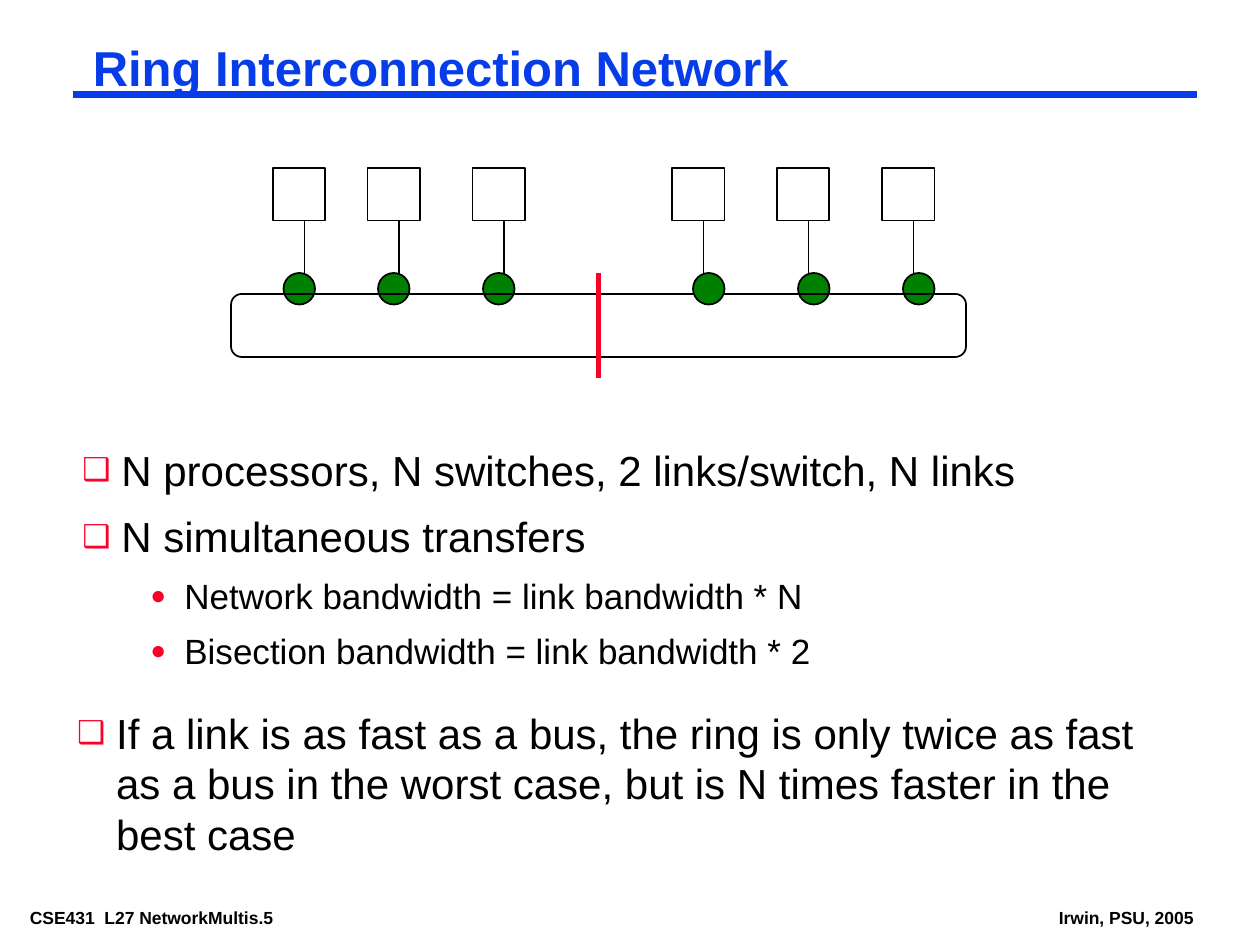
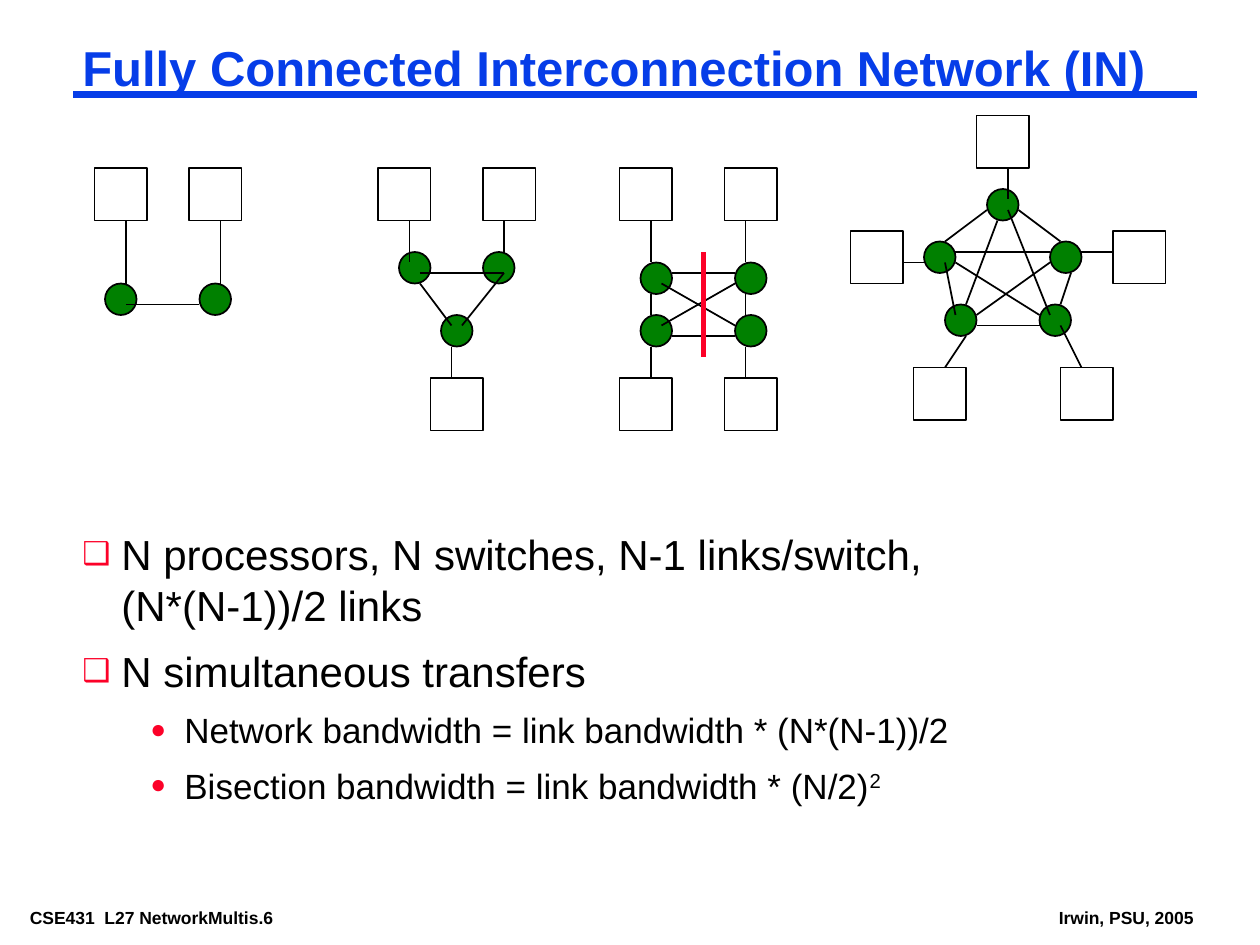
from lxml.etree import SubElement
from pptx import Presentation
from pptx.dml.color import RGBColor
from pptx.enum.shapes import MSO_CONNECTOR as Connector, MSO_SHAPE as Shape
from pptx.enum.text import MSO_ANCHOR as Anchor, MSO_AUTO_SIZE as AutoSize, PP_ALIGN as Align
from pptx.oxml.ns import qn
from pptx.util import Inches, Pt

BLUE = RGBColor(0x06, 0x3D, 0xE8)
RED = RGBColor(0xFC, 0x01, 0x28)
GREEN = RGBColor(0x00, 0x80, 0x00)
BLACK = RGBColor(0x00, 0x00, 0x00)

COLUMNS, ROWS = 120, 90
PROCESSOR_SIZE, SWITCH_SIZE = 5, 3
LIST_LEVELS = [
    {"size": 24, "before": 9, "margin": 0.31, "indent": -0.31, "bullet": "❑"},
    {"size": 20, "before": 7.5, "margin": 0.81, "indent": -0.27, "bullet": "●"},
]


class Deck:
    font = "Arial"

    def __init__(self):
        self.presentation = Presentation()
        self.presentation.slide_width = Inches(10)
        self.presentation.slide_height = Inches(7.5)
        self.column = self.presentation.slide_width / COLUMNS
        self.row = self.presentation.slide_height / ROWS
        self.slide = None
        self.canvas = None

    def place(self, left, top, width, height):
        return (int(left * self.column), int(top * self.row),
                int(width * self.column), int(height * self.row))

    def move(self, shape, box):
        shape.left, shape.top, shape.width, shape.height = self.place(*box)

    def new_slide(self, title, title_box, number):
        self.slide = self.presentation.slides.add_slide(self.presentation.slide_layouts[1])
        self.canvas = self.slide.shapes
        self.line(7, 9, 114, 9, BLUE, 4.5)
        self.footer(f"CSE431  L27 NetworkMultis.{number}", 2, 32)
        self.footer("Irwin, PSU, 2005", 100, 16)
        heading = self.slide.shapes.title
        self.move(heading, title_box)
        self.prepare(heading.text_frame)
        heading.text_frame.text = title
        paragraph = heading.text_frame.paragraphs[0]
        paragraph.line_spacing = 0.87
        self.style(paragraph, 28, BLUE, True)

    def prepare(self, frame):
        frame.word_wrap = True
        frame.auto_size = AutoSize.NONE
        frame.vertical_anchor = Anchor.TOP
        frame.margin_left = frame.margin_right = Inches(0.07)
        frame.margin_top = frame.margin_bottom = Inches(0.03)

    def style(self, paragraph, size, color=BLACK, bold=False):
        paragraph.alignment = Align.LEFT
        for run in paragraph.runs:
            run.font.name = self.font
            run.font.size = Pt(size)
            run.font.bold = bold
            run.font.color.rgb = color

    def text_box(self, box):
        frame = self.slide.shapes.add_textbox(*self.place(*box)).text_frame
        self.prepare(frame)
        return frame

    def footer(self, text, left, width):
        frame = self.text_box((left, 86, width, 2.64))
        frame.text = text
        self.style(frame.paragraphs[0], 10, bold=True)

    def body(self, box, items):
        placeholder = self.slide.placeholders[1]
        self.move(placeholder, box)
        self.prepare(placeholder.text_frame)
        self.bullets(placeholder.text_frame, items)

    def bullets(self, frame, items):
        for index, (level, text, *superscript) in enumerate(items):
            paragraph = frame.add_paragraph() if index else frame.paragraphs[0]
            look = LIST_LEVELS[level]
            paragraph.text = text
            paragraph.level = level
            paragraph.space_before = Pt(look["before"])
            for exponent in superscript:
                run = paragraph.add_run()
                run.text = exponent
                run.font._element.set("baseline", "30000")
            self.style(paragraph, look["size"])
            self.bullet(paragraph, look)

    def bullet(self, paragraph, look):
        properties = paragraph._p.get_or_add_pPr()
        properties.set("marL", str(Inches(look["margin"])))
        properties.set("indent", str(Inches(look["indent"])))
        color = SubElement(properties, qn("a:buClr"))
        SubElement(color, qn("a:srgbClr"), val=str(RED))
        SubElement(properties, qn("a:buSzPct"), val="75000")
        SubElement(properties, qn("a:buFont"), typeface=self.font)
        SubElement(properties, qn("a:buChar"), char=look["bullet"])

    def outline(self, kind, box, fill=None):
        shape = self.canvas.add_shape(kind, *self.place(*box))
        shape.shadow.inherit = False
        if fill is None:
            shape.fill.background()
        else:
            shape.fill.solid()
            shape.fill.fore_color.rgb = fill
        shape.line.color.rgb = BLACK
        shape.line.width = Pt(1)
        return shape

    def line(self, x1, y1, x2, y2, color=BLACK, width=1):
        connector = self.canvas.add_connector(
            Connector.STRAIGHT, *self.place(x1, y1, x2, y2))
        connector.line.color.rgb = color
        connector.line.width = Pt(width)
        SubElement(connector._element.spPr, qn("a:effectLst"))

    def bisection(self, x, top, bottom):
        self.line(x, top, x, bottom, RED, 3)

    def network(self, processors, switches, links, links_below=()):
        self.canvas = self.slide.shapes.add_group_shape().shapes
        for left, top in processors:
            self.outline(Shape.RECTANGLE, (left, top, PROCESSOR_SIZE, PROCESSOR_SIZE))
        for link in links_below:
            self.line(*link)
        for left, top in switches:
            self.outline(Shape.OVAL, (left, top, SWITCH_SIZE, SWITCH_SIZE), GREEN)
        for link in links:
            self.line(*link)
        self.canvas = self.slide.shapes

    def ring_node(self, left, switch_shift):
        self.network([(left, 16)], [(left + switch_shift, 26)], [],
                     [(left + 3, 21, left + 3, 28)])


def ring_slide(deck):
    deck.new_slide("Ring Interconnection Network", (8, 4, 101, 5.5), 5)
    deck.body((6.5, 67, 107.5, 15.1), [
        (0, "If a link is as fast as a bus, the ring is only twice as fast as a bus "
            "in the worst case, but is N times faster in the best case"),
    ])
    for left, switch_shift in [(26, 1), (35, 1), (45, 1), (74, 2), (84, 2)]:
        deck.ring_node(left, switch_shift)
    ring = deck.outline(Shape.ROUNDED_RECTANGLE, (22, 28, 70, 6))
    ring.adjustments[0] = 0.17
    deck.bisection(57, 26, 36)
    deck.ring_node(64, 2)
    deck.bullets(deck.text_box((7, 42, 107.5, 22.3)), [
        (0, "N processors, N switches, 2 links/switch, N links"),
        (0, "N simultaneous transfers"),
        (1, "Network bandwidth = link bandwidth * N"),
        (1, "Bisection bandwidth = link bandwidth * 2"),
    ])


def fully_connected_slide(deck):
    deck.new_slide("Fully Connected Interconnection Network (IN)", (7, 4, 109, 10.5), 6)
    deck.body((7, 50, 107.5, 27.1), [
        (0, "N processors, N switches, N-1 links/switch,\v(N*(N-1))/2 links"),
        (0, "N simultaneous transfers"),
        (1, "Network bandwidth = link bandwidth * (N*(N-1))/2"),
        (1, "Bisection bandwidth = link bandwidth * (N/2)", "2"),
    ])
    deck.network(
        processors=[(36, 16), (46, 16), (41, 36)],
        switches=[(38, 24), (42, 30), (46, 24)],
        links=[(39, 21, 39, 25), (43, 33, 43, 36),
               (40, 27, 43, 31), (40, 26, 48, 26), (48, 26, 44, 31)],
        links_below=[(48, 21, 48, 25)])
    deck.network(
        processors=[(x, y) for y in (16, 36) for x in (59, 69)],
        switches=[(x, y) for y in (25, 30) for x in (61, 70)],
        links=[(x, top, x, bottom) for x in (62, 71)
               for top, bottom in ((21, 25), (28, 30), (33, 36))]
        + [(64, y, 70, y) for y in (26, 32)]
        + [(63, 27, 70, 31), (70, 27, 63, 31)])
    deck.network(
        processors=[(x, 16) for x in (9, 18)],
        switches=[(x, 27) for x in (10, 19)],
        links=[(12, 29, 19, 29)],
        links_below=[(x, 21, x, 28) for x in (12, 21)])
    deck.network(
        processors=[(81, 22), (93, 11), (106, 22), (101, 35), (87, 35)],
        switches=[(88, 23), (100, 23), (90, 29), (99, 29), (94, 18)],
        links=[(92, 32, 90, 35), (101, 31, 103, 35), (86, 25, 88, 25),
               (96, 16, 96, 19), (103, 24, 106, 24),
               (94, 20, 90, 23), (97, 20, 101, 23), (90, 25, 91, 30),
               (93, 31, 99, 31), (102, 26, 101, 29),
               (91, 24, 100, 24), (95, 21, 92, 29), (96, 20, 100, 30),
               (91, 25, 99, 30), (100, 25, 93, 30)])
    deck.bisection(67, 24, 34)


def main():
    deck = Deck()
    ring_slide(deck)
    fully_connected_slide(deck)
    deck.presentation.save("out.pptx")


if __name__ == "__main__":
    main()
